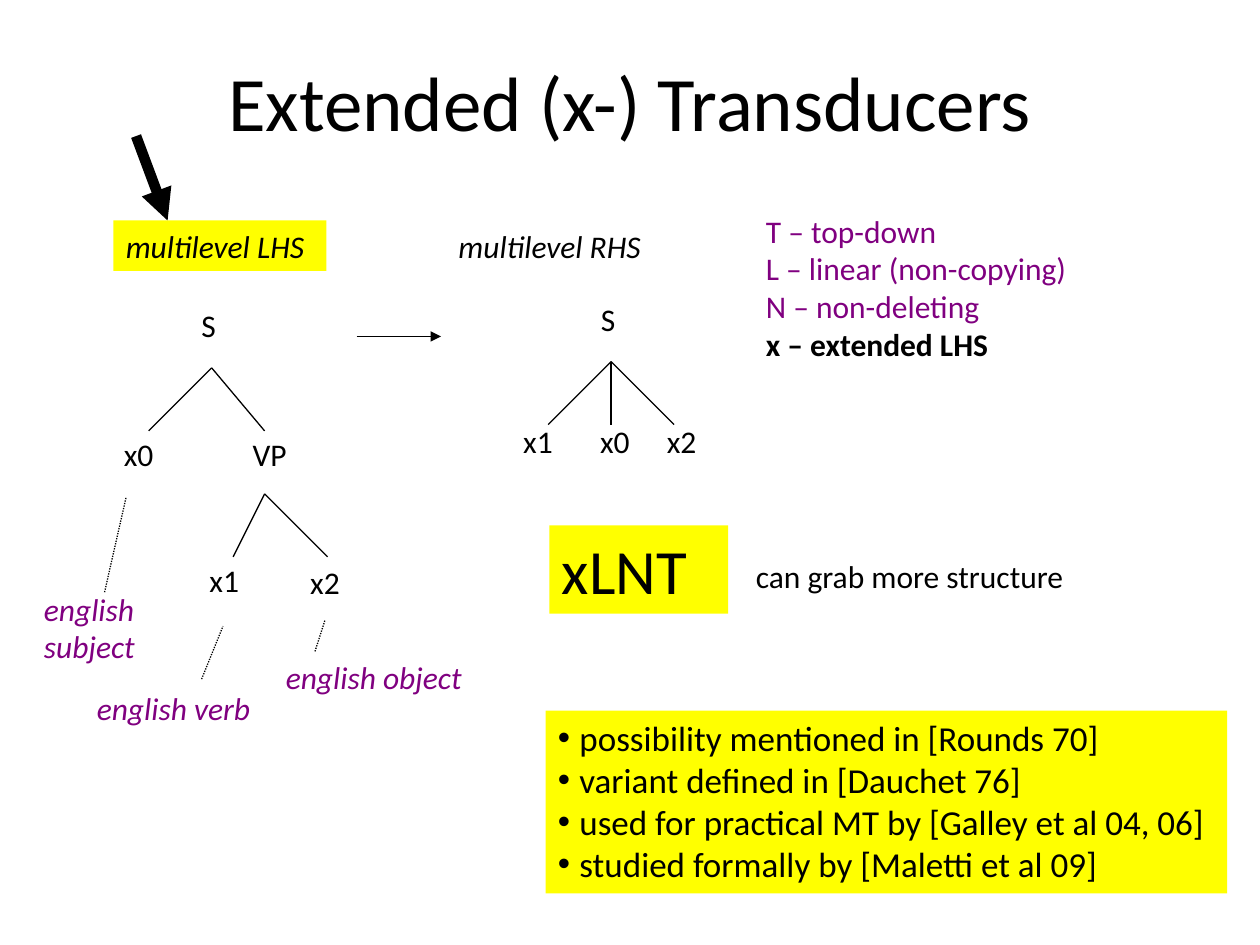
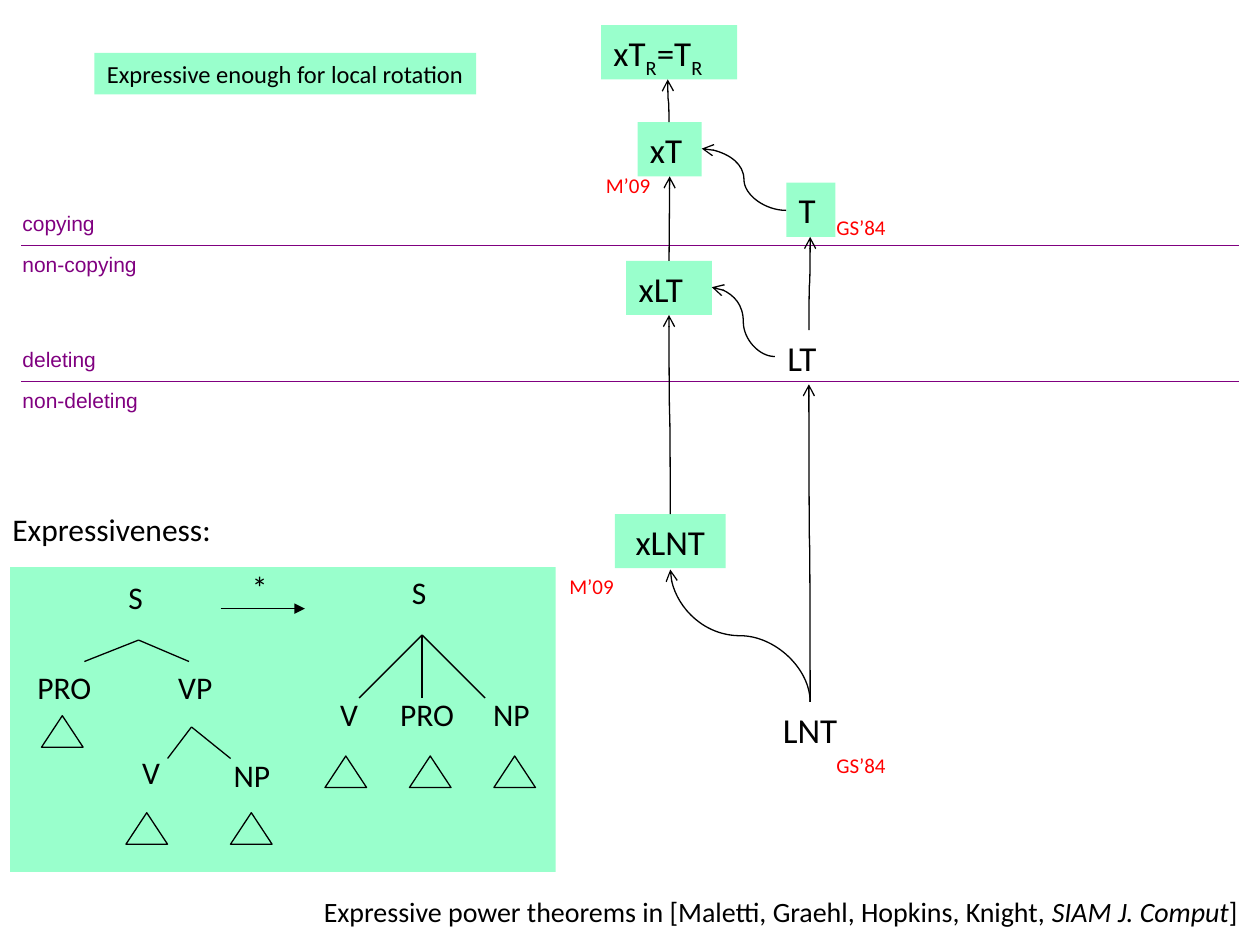
from lxml import etree
from pptx import Presentation
from pptx import util as u
from pptx.dml.color import RGBColor
from pptx.enum import dml, shapes, text as t
from pptx.oxml.ns import qn

PX = u.Inches(0.01)
BLACK = RGBColor(0, 0, 0)
YELLOW = RGBColor(0xFF, 0xFF, 0)
MINT = RGBColor(0x99, 0xFF, 0xCC)
PURPLE = RGBColor(0x80, 0, 0x80)
RED = RGBColor(0xFF, 0, 0)
LEFT, MID, RIGHT = t.PP_ALIGN.LEFT, t.PP_ALIGN.CENTER, t.PP_ALIGN.RIGHT
RECT = shapes.MSO_SHAPE.RECTANGLE
TRI = shapes.MSO_SHAPE.ISOSCELES_TRIANGLE
WIDE = {"x0": 53, "x1": 53, "x2": 53, "V": 44, "NP": 63, "VP": 63, "PRO": 85}


def emu(*vals):
    return [int(v * PX) for v in vals]


def block(on, box, fill=None, kind=RECT):
    """Preset shape, either filled without a line or outlined without a fill."""
    shape = on.add_shape(kind, *emu(*box))
    shape.shadow.inherit = False
    if fill:
        shape.fill.solid()
        shape.fill.fore_color.rgb = fill
        shape.line.fill.background()
    else:
        shape.fill.background()
        shape.line.color.rgb = BLACK
        shape.line.width = u.Pt(0.75)
    return shape


def dot(para):
    props = para._p.get_or_add_pPr()
    props.set("marL", str(17 * PX))
    props.set("indent", str(-17 * PX))
    etree.SubElement(props, qn("a:buFont")).set("typeface", "Arial")
    etree.SubElement(props, qn("a:buChar")).set("char", "•")


def text(on, box, *lines, size=18, font="Calibri", color=BLACK, fill=None,
         align=LEFT, italic=False, bullet=False, anchor=t.MSO_ANCHOR.TOP):
    """Each line is a string or a list of (words, format) runs."""
    shape = block(on, box, fill) if fill else on.add_textbox(*emu(*box))
    frame = shape.text_frame
    frame.word_wrap = True
    frame.vertical_anchor = anchor
    if align == LEFT:
        frame.margin_right = 0
    for n, line in enumerate(lines):
        para = frame.add_paragraph() if n else frame.paragraphs[0]
        para.alignment = align
        if bullet:
            dot(para)
        for words, look in [(line, {})] if isinstance(line, str) else line:
            run = para.add_run()
            run.text = words
            face = run.font
            face.name, face.size = font, u.Pt(size)
            face.italic = look.get("italic", italic)
            face.bold = look.get("bold", False)
            face.color.rgb = look.get("color", color)
            if look.get("sub"):
                face._element.set("baseline", "-25000")
    return shape


def line(on, start, end, color=BLACK, width=0.75, tip=None, dash=None,
         kind=shapes.MSO_CONNECTOR.STRAIGHT):
    link = on.add_connector(kind, *emu(*start, *end))
    link.line.color.rgb = color
    link.line.width = u.Pt(width)
    if dash:
        link.line.dash_style = dash
    props = link._element.spPr
    if tip:
        etree.SubElement(props.find(qn("a:ln")), qn("a:tailEnd")).set("type", tip)
    etree.SubElement(props, qn("a:effectLst"))
    return link


def curve(on, start, end, rise=True):
    """Curved arrow; with rise it leaves and arrives vertically, going up."""
    if rise:
        (x1, y1), (x2, y2) = start, end
        cx, cy = (x1 + x2) / 2, (y1 + y2) / 2
        half, side = (y1 - y2) / 2, abs(x2 - x1) / 2
        turn = 270 if x2 > x1 else 90
        if turn == 90:
            half = -half
        start, end = (cx - half, cy - side), (cx + half, cy + side)
    link = line(on, start, end, tip="arrow", kind=shapes.MSO_CONNECTOR.CURVE)
    if rise:
        link._element.spPr.find(qn("a:xfrm")).set("rot", str(turn * 60000))


# Trees
def fork(on, x, y, drop, kids):
    """Branches from (x, y); a kid is tip dx, label, label dx, label dy."""
    for dx, word, mid, dy in kids:
        line(on, (x, y), (x + dx, y + drop))
        wide = WIDE[word]
        text(on, (x + mid - wide / 2, y + dy, wide, 50), word, align=MID)


def tree(on, x, y, drop, kids):
    text(on, (x - 18, y - 54, 39, 50), "S")
    fork(on, x, y, drop, kids)


def flat(on, x, y, words, mids):
    tree(on, x, y, 50, [(dx, word, mid, 43)
                        for dx, word, mid in zip((-50, 0, 50), words, mids)])


# Slide 1 regions
def rule(on, x, y):
    line(on, (x + 83, y), (x + 108, y + 67), width=6, tip="triangle")
    for dx, wide, side, fill in ((65, 169, "LHS", YELLOW), (329, 171, "RHS", None)):
        text(on, (x + dx, y + 67, wide, 40), "multilevel " + side,
             italic=True, fill=fill)
    tree(on, x + 143, y + 184, 50, [(-50, "x0", -58, 48), (42, "VP", 46, 48)])
    fork(on, x + 185, y + 284, 50, [(-25, "x1", -32, 48), (50, "x2", 48, 50)])
    line(on, (x + 258, y + 159), (x + 325, y + 159), tip="triangle")
    flat(on, x + 460, y + 179, ("x1", "x0", "x2"), (-58, 3, 56))
    # Dotted links to the English parts
    for x1, y1, x2, y2 in ((58, 362, 75, 287), (135, 431, 152, 389),
                           (225, 409, 233, 384)):
        line(on, (x + x1, y + y1), (x + x2, y + y2),
             dash=dml.MSO_LINE.ROUND_DOT)
    for dx, dy, wide, high, words in ((0, 355, 99, 70, ("english", "subject")),
                                      (42, 434, 143, 40, ("english verb",)),
                                      (192, 409, 160, 40, ("english object",))):
        text(on, (x + dx, y + dy, wide, high), *words, color=PURPLE, italic=True)


def notes(on, x, y):
    text(on, (x + 165, y, 348, 170), "T – top-down", "L – linear (non-copying)",
         "N – non-deleting",
         [("x – extended LHS", {"bold": True, "color": BLACK})], color=PURPLE)
    text(on, (x + 3, y + 254, 142, 70), "xLNT", size=36, fill=YELLOW)
    text(on, (x + 157, y + 274, 335, 50), "can grab more structure")
    text(on, (x, y + 401, 541, 145), "possibility mentioned in [Rounds 70]",
         "variant defined in [Dauchet 76]",
         "used for practical MT by [Galley et al 04, 06]",
         "studied formally by [Maletti et al 09]",
         size=20, fill=YELLOW, bullet=True)


# Slide 2 regions
def bands(on, x, y):
    for n, (word, wide) in enumerate((("copying", 77), ("deleting", 78))):
        top = y + 108 * n
        text(on, (x, top, wide, 30), word, size=12, font="Arial", color=PURPLE)
        text(on, (x, top + 33, wide + 33, 30), "non-" + word,
             size=12, font="Arial", color=PURPLE)
        line(on, (x + 9, top + 33), (x + 975, top + 33), color=PURPLE)


def order(on, x, y):
    """Classes of transducers, ordered by power."""
    def node(dx, dy, wide, word, fill=MINT, align=LEFT):
        return text(on, (x + dx, y + dy, wide, 43), word, size=20,
                    fill=fill, align=align)

    low = {"sub": True}
    node(0, 0, 108, [("xT", {}), ("R", low), ("=T", {}), ("R", low)])
    xt = node(29, 77, 51, "xT")
    xlt = node(20, 187, 68, "xLT")
    node(11, 388, 88, "xLNT", align=MID)
    node(147, 125, 39, "T")
    node(138, 242, 54, "LT", fill=None)
    node(129, 537, 74, "LNT", fill=None, align=MID)
    # Arrows to the stronger class
    link = line(on, (x + 54, y + 187), (x + 54, y + 120), tip="arrow")
    link.begin_connect(xlt, 0)
    link.end_connect(xt, 2)
    for x1, y1, x2, y2, rise in ((55, 388, 54, 230, True), (54, 77, 53, 43, True),
                                 (165, 242, 166, 168, True),
                                 (166, 537, 55, 432, True),
                                 (166, 537, 165, 285, True),
                                 (138, 263, 88, 208, False),
                                 (147, 147, 80, 98, False)):
        curve(on, (x + x1, y + y1), (x + x2, y + y2), rise)
    # Sources
    for dx, dy, wide, word in ((177, 572, 64, "GS’84"), (177, 145, 64, "GS’84"),
                               (-35, 430, 56, "M’09"), (-6, 112, 56, "M’09")):
        text(on, (x + dx, y + dy, wide, 30), word, size=12, color=RED)


def turn(on, x, y):
    """Panel with the local rotation."""
    block(on, (x, y, 433, 242), MINT)
    tree(on, x + 102, y + 58, 17, [(-43, "PRO", -59, 17), (40, "VP", 45, 17)])
    fork(on, x + 144, y + 127, 25, [(-19, "V", -32, 16), (31, "NP", 48, 18)])
    line(on, (x + 167, y + 33), (x + 234, y + 33), tip="triangle")
    text(on, (x + 182, y - 4, 37, 50), "*")
    flat(on, x + 327, y + 54, ("V", "PRO", "NP"), (-58, 4, 71))
    for dx, dy in ((25, 118), (92, 195), (175, 195),
                   (250, 150), (317, 150), (384, 150)):
        block(on, (x + dx, y + dy, 33, 25), kind=TRI)


def main():
    deck = Presentation()
    deck.slide_width, deck.slide_height = emu(1000, 750)
    blank = deck.slide_layouts[6]

    on = deck.slides.add_slide(blank).shapes
    text(on, (75, 17, 850, 125), "Extended (x-) Transducers", size=44,
         align=MID, anchor=t.MSO_ANCHOR.MIDDLE)
    rule(on, 25, 108)
    notes(on, 433, 163)

    on = deck.slides.add_slide(blank).shapes
    text(on, (75, 42, 303, 33), "Expressive enough for local rotation",
         size=14, fill=MINT)
    bands(on, 8, 162)
    order(on, 477, 20)
    text(on, (0, 400, 233, 50), "Expressiveness:")
    turn(on.add_group_shape().shapes, 8, 450)
    text(on, (237, 705, 755, 37),
         [("Expressive power theorems in [Maletti, Graehl, Hopkins, Knight, ", {}),
          ("SIAM J. Comput", {"italic": True}), ("]", {})], size=16, align=RIGHT)
    deck.save("out.pptx")


if __name__ == "__main__":
    main()
